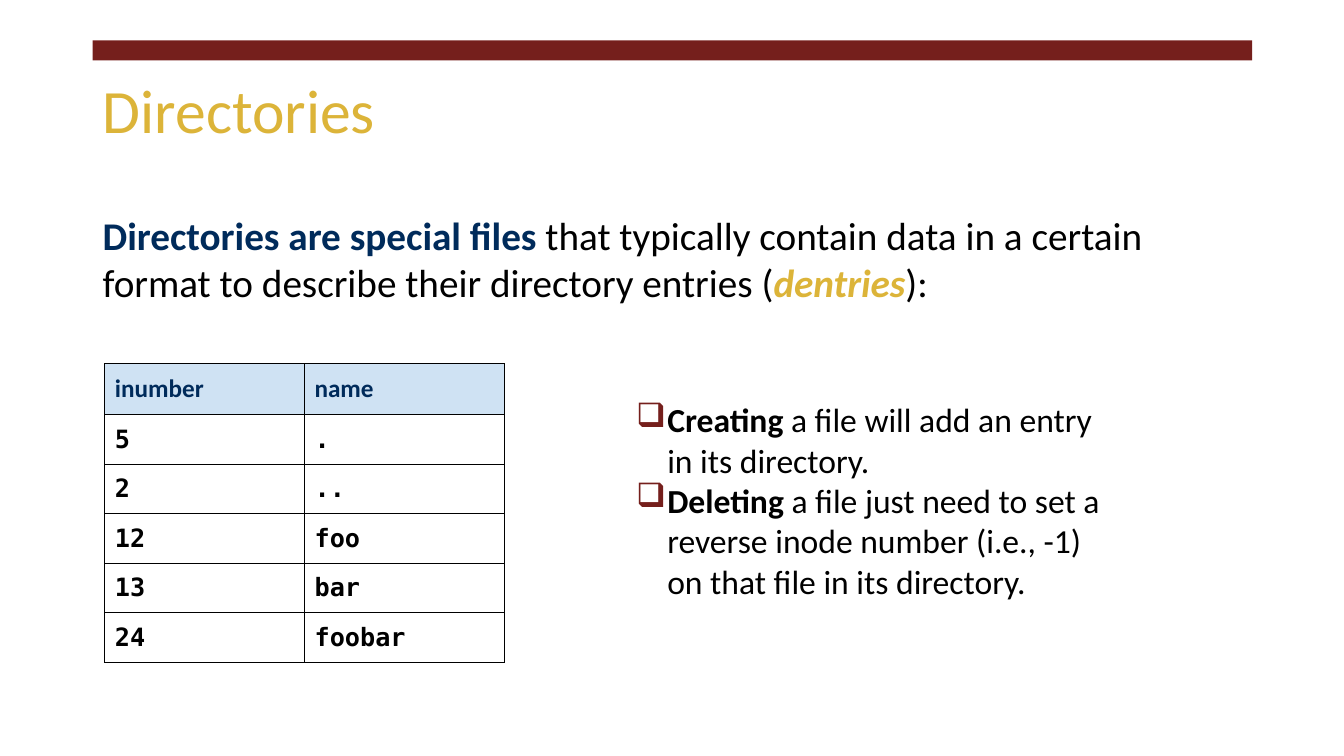
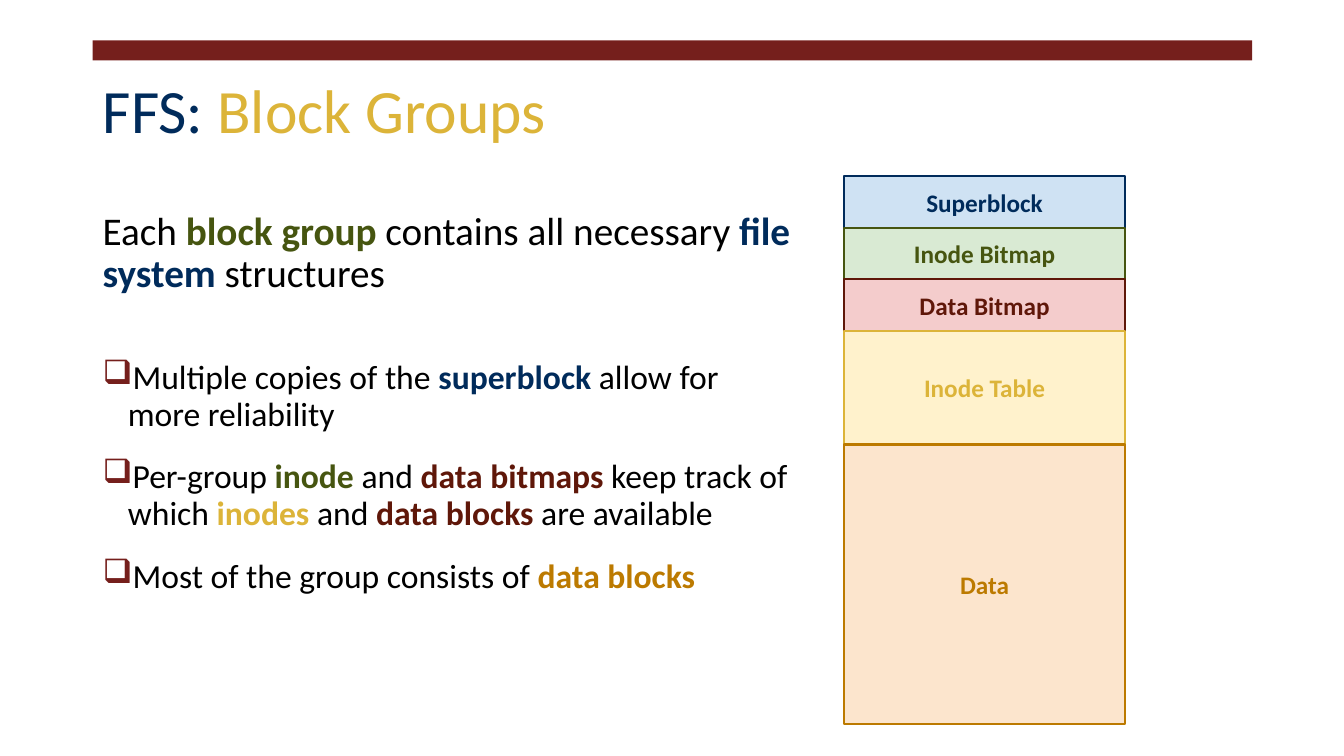
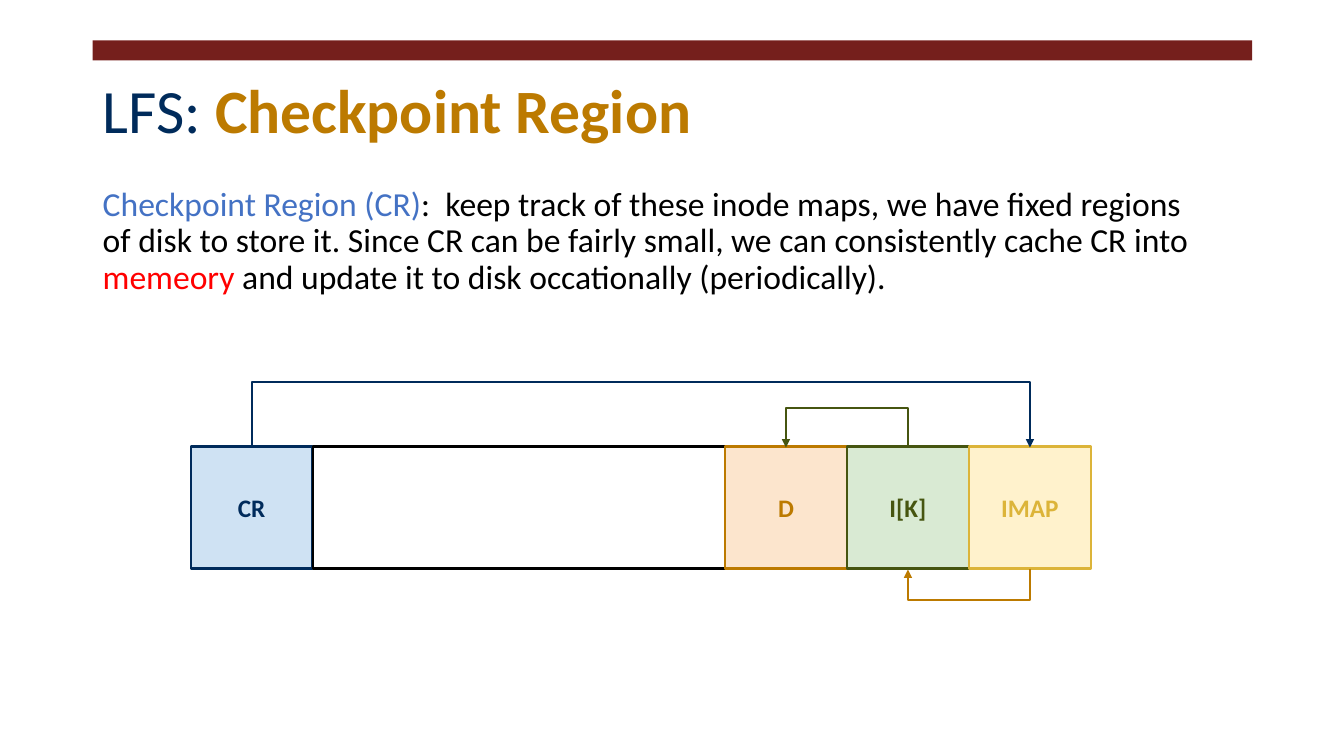
from itertools import accumulate

from lxml.etree import SubElement
from pptx import Presentation
from pptx.dml.color import RGBColor
from pptx.enum.shapes import MSO_CONNECTOR as Connector, MSO_SHAPE as Preset
from pptx.enum.text import MSO_ANCHOR as Anchor, MSO_AUTO_SIZE as AutoSize, PP_ALIGN as Align
from pptx.oxml.ns import qn
from pptx.util import Inches, Pt

# Shared look
TEXT_FONT, CODE_FONT = "Calibri", "DejaVu Sans Mono"
MAROON = RGBColor(0x75, 0x1F, 0x1C)
NAVY = RGBColor(0x00, 0x2B, 0x5B)
GOLD = RGBColor(0xDC, 0xB4, 0x39)
OLIVE = RGBColor(0x46, 0x55, 0x10)
BROWN = RGBColor(0x5F, 0x17, 0x09)
OCHRE = RGBColor(0xBC, 0x7A, 0x00)
BLUE = RGBColor(0x44, 0x72, 0xC4)
RED = RGBColor(0xFF, 0x00, 0x00)
BLACK = RGBColor(0x00, 0x00, 0x00)
WHITE = RGBColor(0xFF, 0xFF, 0xFF)
PALE_BLUE = RGBColor(0xCF, 0xE2, 0xF3)
PALE_GREEN = RGBColor(0xD9, 0xEA, 0xD3)
PALE_RED = RGBColor(0xF4, 0xCC, 0xCC)
PALE_YELLOW = RGBColor(0xFF, 0xF2, 0xCC)
PALE_ORANGE = RGBColor(0xFC, 0xE5, 0xCD)

LEFT, BAND_TOP, CONTENT_WIDTH = 0.92, 0.4, 11.5
BAND_HEIGHT, TITLE_HEIGHT = 0.2, 1.45
BULLET = "❑"
INSET = 0.1

# Slide 1: runs are (text, colour, styles); styles hold "b" and "i"
DIRECTORIES_TITLE = [("Directories", GOLD, "")]
DIRECTORIES_INTRO = [
    ("Directories are special files ", NAVY, "b"),
    ("that typically contain data in a certain format to describe their directory entries (", BLACK, ""),
    ("dentries", GOLD, "bi"),
    ("):", BLACK, ""),
]
DENTRIES = [("inumber", "name"), ("5", "."), ("2", ".."), ("12", "foo"), ("13", "bar"), ("24", "foobar")]
FILE_OPERATIONS = [
    [("Creating", BLACK, "b"), (" a file will add an entry in its directory.", BLACK, "")],
    [("Deleting", BLACK, "b"),
     (" a file just need to set a reverse inode number (i.e., -1) on that file in its directory.", BLACK, "")],
]

# Slide 2
GROUPS_TITLE = [("FFS: ", NAVY, ""), ("Block Groups", GOLD, "")]
GROUPS_INTRO = [
    ("Each ", BLACK, ""), ("block group ", OLIVE, "b"), ("contains all necessary ", BLACK, ""),
    ("file system", NAVY, "b"), (" structures", BLACK, ""),
]
GROUPS_POINTS = [
    [("Multiple copies of the ", BLACK, ""), ("superblock", NAVY, "b"),
     (" allow for more reliability", BLACK, "")],
    [("Per-group ", BLACK, ""), ("inode", OLIVE, "b"), (" and ", BLACK, ""),
     ("data bitmaps", BROWN, "b"), (" keep track of which ", BLACK, ""), ("inodes", GOLD, "b"),
     (" and", BLACK, ""), (" data blocks", BROWN, "b"), (" are available", BLACK, "")],
    [("Most of the group consists of ", BLACK, ""), ("data blocks", OCHRE, "b")],
]
GROUP_BLOCKS = [  # label, height, fill, ink
    ("Superblock", 0.51, PALE_BLUE, NAVY),
    ("Inode Bitmap", 0.51, PALE_GREEN, OLIVE),
    ("Data Bitmap", 0.51, PALE_RED, BROWN),
    ("Inode Table", 1.13, PALE_YELLOW, GOLD),
    ("Data", 2.77, PALE_ORANGE, OCHRE),
]

# Slide 3
CHECKPOINT_TITLE = [("LFS: ", NAVY, ""), ("Checkpoint Region", OCHRE, "b")]
CHECKPOINT_INTRO = [
    ("Checkpoint Region (CR)", BLUE, ""),
    (":  keep track of these inode maps, we have fixed regions of disk to store it. Since CR can be "
     "fairly small, we can consistently cache CR into ", BLACK, ""),
    ("memeory", RED, ""),
    (" and update it to disk occationally (periodically).", BLACK, ""),
]
DISK_BLOCKS = [  # label, width, fill, ink
    ("CR", 1.21, PALE_BLUE, NAVY),
    ("", 4.09, WHITE, BLACK),
    ("D", 1.21, PALE_ORANGE, OCHRE),
    ("I[K]", 1.21, PALE_GREEN, OLIVE),
    ("IMAP", 1.21, PALE_YELLOW, GOLD),
]
POINTERS = [  # from, to, bend below (+) or above (-) the start, colour
    ("CR", "IMAP", -0.65, NAVY),
    ("IMAP", "I[K]", 0.32, OCHRE),
    ("I[K]", "D", -0.39, OLIVE),
]


def box(left, top, width, height):
    return [Inches(round(length, 2)) for length in (left, top, width, height)]


def set_all(target, **values):
    for key, value in values.items():
        setattr(target, key, value)


def set_frame(frame, anchor=Anchor.TOP, inset=INSET):
    margins = {f"margin_{side}": Inches(inset) for side in ("left", "top", "right", "bottom")}
    set_all(frame, word_wrap=True, auto_size=AutoSize.NONE, vertical_anchor=anchor, **margins)


def write_runs(paragraph, runs, size, font=TEXT_FONT, **layout):
    set_all(paragraph, **layout)
    for text, colour, styles in runs:
        run = paragraph.add_run()
        run.text = text
        set_all(run.font, name=font, size=Pt(size), bold="b" in styles, italic="i" in styles)
        run.font.color.rgb = colour


def add_bullet(paragraph, indent):
    props = paragraph._p.get_or_add_pPr()
    set_indent = {"marL": Inches(indent), "indent": -Inches(indent)}
    for key, value in set_indent.items():
        props.set(key, str(int(value)))
    SubElement(SubElement(props, qn("a:buClr")), qn("a:srgbClr"), val=str(MAROON))
    SubElement(props, qn("a:buChar"), char=BULLET)


def add_text(slide, place, inset=INSET):
    frame = slide.shapes.add_textbox(*box(*place)).text_frame
    set_frame(frame, inset=inset)
    return frame


def add_block(slide, place, label, fill, ink):
    block = slide.shapes.add_shape(Preset.RECTANGLE, *box(*place))
    block.shadow.inherit = False
    block.fill.solid()
    block.fill.fore_color.rgb = fill
    block.line.color.rgb = ink
    block.line.width = Pt(1.5)
    set_frame(block.text_frame, Anchor.MIDDLE)
    if label:
        write_runs(block.text_frame.paragraphs[0], [(label, ink, "b")], 18, alignment=Align.CENTER)


def add_pointer(slide, start_x, end_x, y, bend, colour):
    """U-shaped elbow: a thin connector turned a quarter, its middle leg pushed out by bend."""
    thin, span = 0.01, abs(end_x - start_x)
    left, top = (start_x + end_x - thin) / 2, y + (thin - span) / 2
    pointer = slide.shapes.add_connector(
        Connector.ELBOW, *[Inches(v) for v in (left, top, left + thin, top + span)])
    pointer.line.color.rgb = colour
    pointer.line.width = Pt(1.5)
    props = pointer._element.spPr
    turn = {"rot": "16200000", "flipH": "1"} if end_x > start_x else {"rot": "5400000"}
    for key, value in turn.items():
        props.find(qn("a:xfrm")).set(key, value)
    adjustments = props.find(qn("a:prstGeom")).get_or_add_avLst()
    SubElement(adjustments, qn("a:gd"), name="adj1", fmla=f"val {round(bend / thin * 100000)}")
    SubElement(pointer.line._get_or_add_ln(), qn("a:tailEnd"), type="triangle")
    SubElement(props, qn("a:effectLst"))


def prepare_layout(deck):
    """Put the maroon band and the title position on the title-only layout."""
    layout = deck.slide_layouts[5]
    title = layout.placeholders[0]
    place = box(LEFT, BAND_TOP, CONTENT_WIDTH, TITLE_HEIGHT)
    set_all(title, **dict(zip(("left", "top", "width", "height"), place)))
    set_frame(title.text_frame, Anchor.MIDDLE)
    return layout


def add_band(slide, layout):
    band = slide.shapes.add_shape(Preset.RECTANGLE, *box(LEFT, BAND_TOP, CONTENT_WIDTH, BAND_HEIGHT))
    band.shadow.inherit = False
    band.fill.solid()
    band.fill.fore_color.rgb = MAROON
    band.line.fill.background()
    layout.shapes._spTree.insert(2, band._element)


def add_slide(deck, layout, title_runs):
    slide = deck.slides.add_slide(layout)
    frame = slide.shapes.title.text_frame
    set_frame(frame, Anchor.MIDDLE)
    write_runs(frame.paragraphs[0], title_runs, 44, alignment=Align.LEFT, line_spacing=0.9)
    return slide


def add_dentry_table(slide):
    rows, columns = len(DENTRIES), len(DENTRIES[0])
    table = slide.shapes.add_table(rows, columns, *box(1.04, 3.61, 3.96, 0.49 * rows)).table
    for r, entry in enumerate(DENTRIES):
        for c, text in enumerate(entry):
            cell = table.cell(r, c)
            margins = ("margin_left", "margin_top", "margin_right", "margin_bottom")
            set_all(cell, **dict.fromkeys(margins, Inches(INSET)))
            ink, font = (BLACK, CODE_FONT) if r else (NAVY, TEXT_FONT)
            write_runs(cell.text_frame.paragraphs[0], [(text, ink, "b")], 18, font)
            props = cell._tc.get_or_add_tcPr()
            for side in ("lnL", "lnR", "lnT", "lnB"):
                border = SubElement(props, qn(f"a:{side}"), w=str(int(Pt(0.75))))
                SubElement(SubElement(border, qn("a:solidFill")), qn("a:srgbClr"), val=str(BLACK))
            if r:
                cell.fill.background()
            else:
                cell.fill.solid()
                cell.fill.fore_color.rgb = PALE_BLUE


def build_directories(slide):
    intro = add_text(slide, (LEFT, 2, CONTENT_WIDTH, 1.3))
    write_runs(intro.paragraphs[0], DIRECTORIES_INTRO, 28)
    add_dentry_table(slide)
    operations = add_text(slide, (6.21, 3.86, 4.99, 2.17))
    for i, runs in enumerate(FILE_OPERATIONS):
        paragraph = operations.add_paragraph() if i else operations.paragraphs[0]
        write_runs(paragraph, runs, 24)
        add_bullet(paragraph, 0.31)


def build_block_groups(slide):
    body = add_text(slide, (LEFT, 2, 7.06, 5.35))
    write_runs(body.paragraphs[0], GROUPS_INTRO, 28, line_spacing=0.9)
    for i, runs in enumerate(GROUPS_POINTS):
        paragraph = body.add_paragraph()
        write_runs(paragraph, runs, 24, line_spacing=0.9, space_before=Pt(19 if i else 46))
        add_bullet(paragraph, 0.25)
    # Stacked blocks
    tops = accumulate((height for _, height, _, _ in GROUP_BLOCKS), initial=1.75)
    for top, (label, height, fill, ink) in zip(tops, GROUP_BLOCKS):
        add_block(slide, (8.37, top, 2.79, height), label, fill, ink)


def build_checkpoint(slide):
    intro = add_text(slide, (LEFT, 1.76, 11.02, 1.4))
    write_runs(intro.paragraphs[0], CHECKPOINT_INTRO, 24, line_spacing=0.9)
    # Disk strip, then pointers between its blocks
    top, height = 4.43, 1.21
    lefts = accumulate((width for _, width, _, _ in DISK_BLOCKS), initial=1.89)
    centres = {}
    for left, (label, width, fill, ink) in zip(lefts, DISK_BLOCKS):
        add_block(slide, (left, top, width, height), label, fill, ink)
        centres[label] = left + width / 2
    for source, target, bend, colour in POINTERS:
        edge = top + height if bend > 0 else top
        add_pointer(slide, centres[source], centres[target], edge, bend, colour)


def main():
    deck = Presentation()
    set_all(deck, slide_width=Inches(13.33), slide_height=Inches(7.5))
    layout = prepare_layout(deck)
    pages = [
        (DIRECTORIES_TITLE, build_directories),
        (GROUPS_TITLE, build_block_groups),
        (CHECKPOINT_TITLE, build_checkpoint),
    ]
    for number, (title_runs, build) in enumerate(pages):
        slide = add_slide(deck, layout, title_runs)
        if number == 0:
            add_band(slide, layout)
        build(slide)
    deck.save("out.pptx")


if __name__ == "__main__":
    main()
